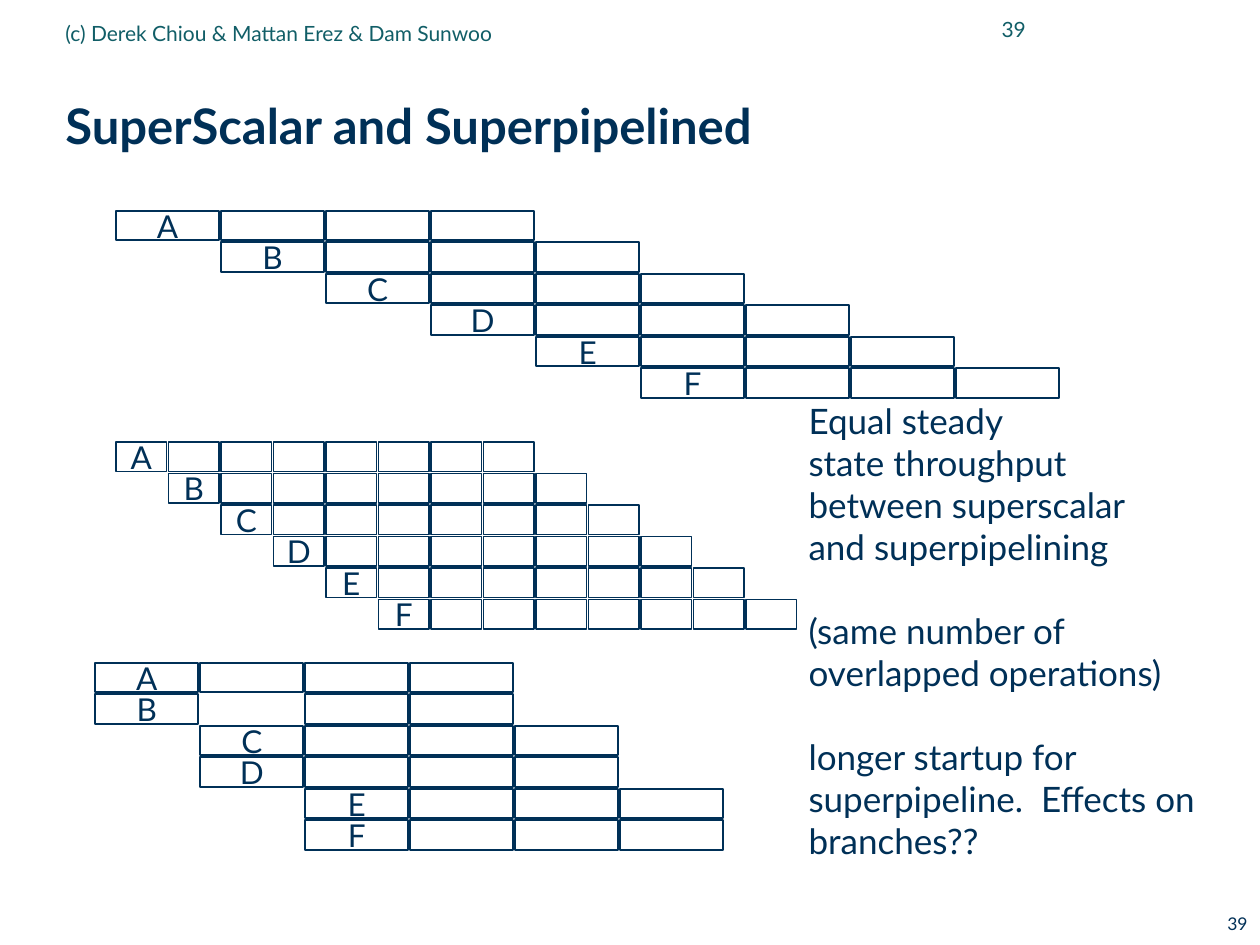
from pptx import Presentation
from pptx.dml.color import RGBColor
from pptx.enum.shapes import MSO_SHAPE
from pptx.enum.text import MSO_ANCHOR, MSO_AUTO_SIZE, PP_ALIGN
from pptx.util import Cm, Pt

COLORS = {"navy": "003057", "teal": "115E67"}
FONT = "Lato"

TITLE = "SuperScalar and Superpipelined"
CREDIT = "(c) Derek Chiou & Mattan Erez & Dam Sunwoo"
PAGE = "39"
NOTES = [
    ["Equal steady", "state throughput", "between superscalar", "and superpipelining"],
    ["(same number of", "overlapped operations)"],
    ["longer startup for", "superpipeline.  Effects on", "branches??"],
]

OPERATIONS = "ABCDEF"
STAGE = 25.4 / 12
ROW = 2.54 / 4
GAP = 0.04
PIPELINES = [
    {"left": 2.34, "top": 4.25, "pitch": STAGE, "stages": 4, "issue": 1, "skip": []},
    {"left": 2.34, "top": 8.91, "pitch": STAGE / 2, "stages": 8, "issue": 1, "skip": []},
    {"left": 1.92, "top": 13.36, "pitch": STAGE, "stages": 4, "issue": 2, "skip": [("B", 1)]},
]


def put_text(sp, paragraphs, size=18, color="navy", bold=False, align=PP_ALIGN.LEFT,
             anchor=MSO_ANCHOR.MIDDLE, wrap=True):
    tf = sp.text_frame
    tf.word_wrap = wrap
    tf.vertical_anchor = anchor
    for i, (text, before) in enumerate(paragraphs):
        p = tf.paragraphs[0] if i == 0 else tf.add_paragraph()
        p.alignment = align
        if before:
            p.space_before = Pt(before)
        r = p.add_run()
        r.text = text
        r.font.name = FONT
        r.font.size = Pt(size)
        r.font.bold = bold
        r.font.color.rgb = RGBColor.from_string(COLORS[color])
    return tf


def add_text(s, box, paragraphs, **fmt):
    return put_text(s.shapes.add_textbox(*map(Cm, box)), paragraphs, **fmt)


def add_pipeline(s, left, top, pitch, stages, issue, skip):
    group = s.shapes.add_group_shape()
    for row, name in enumerate(OPERATIONS):
        for stage in range(stages):
            if (name, stage) in skip:
                continue
            x = left + (row // issue + stage) * pitch
            sp = group.shapes.add_shape(MSO_SHAPE.RECTANGLE, Cm(x), Cm(top + row * ROW),
                                        Cm(pitch - GAP), Cm(ROW - GAP))
            sp.shadow.inherit = False
            sp.fill.background()
            sp.line.color.rgb = RGBColor.from_string(COLORS["navy"])
            sp.line.width = Pt(1)
            if stage == 0:
                put_text(sp, [(name, 0)], align=PP_ALIGN.CENTER, wrap=False)


def main():
    prs = Presentation()
    prs.slide_width, prs.slide_height = Cm(25.4), Cm(19.05)
    s = prs.slides.add_slide(prs.slide_layouts[6])

    add_text(s, (1.07, 1.27, 23.9, 2.49), [(TITLE, 0)], size=28, bold=True)
    add_text(s, (18.62, -0.05, 2.31, 1.27), [(PAGE, 0)], size=12, color="teal",
             align=PP_ALIGN.RIGHT)
    add_text(s, (1.07, 0.08, 14.4, 1.17), [(CREDIT, 0)], size=12, color="teal")
    add_text(s, (19.48, 18.29, 5.92, 0.69), [(PAGE, 0)], size=10,
             align=PP_ALIGN.RIGHT, anchor=MSO_ANCHOR.TOP)

    for pipeline in PIPELINES:
        add_pipeline(s, **pipeline)

    lines = [(text, 24 if block and i == 0 else 0)
             for block, texts in enumerate(NOTES) for i, text in enumerate(texts)]
    tf = add_text(s, (16.05, 7.92, 8.41, 9.55), lines, size=20,
                  anchor=MSO_ANCHOR.TOP, wrap=False)
    tf.auto_size = MSO_AUTO_SIZE.SHAPE_TO_FIT_TEXT

    prs.save("out.pptx")


if __name__ == "__main__":
    main()
